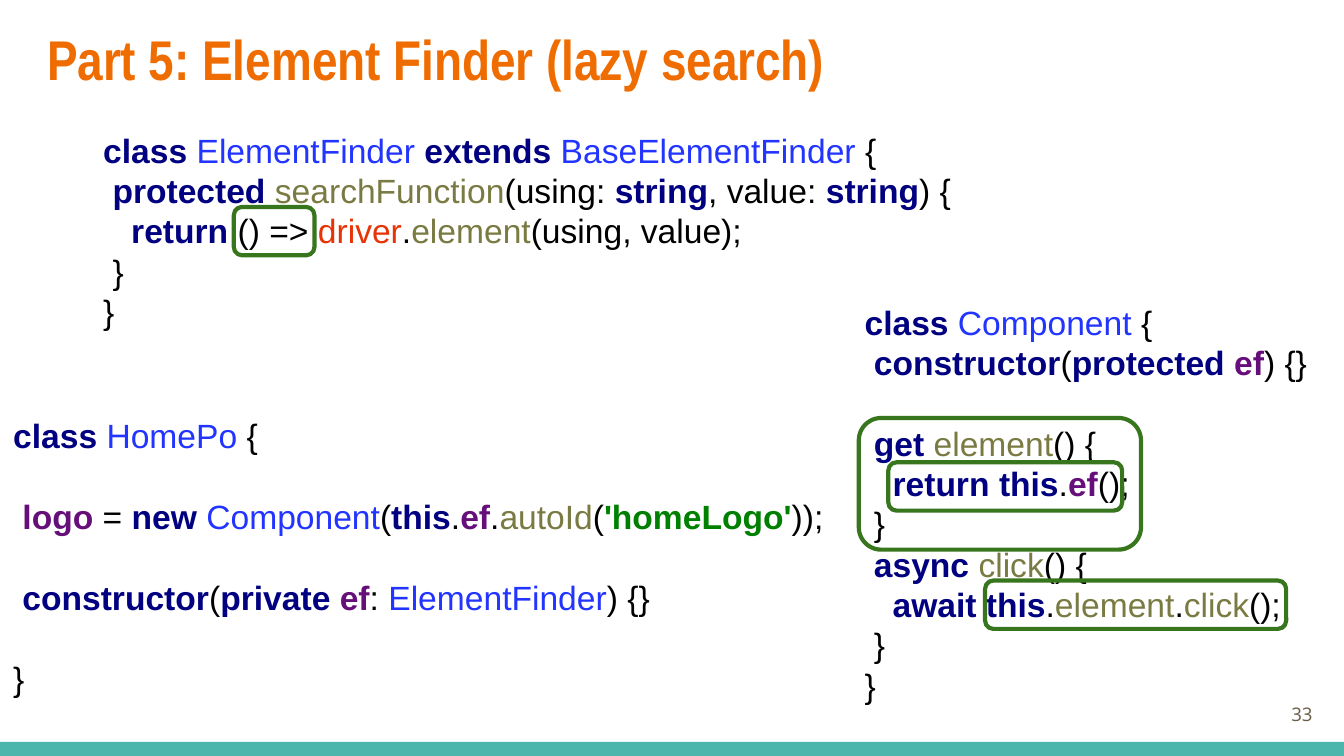
from itertools import groupby

from pptx import Presentation
from pptx import util as u
from pptx.dml.color import RGBColor
from pptx.enum import shapes, text
from pptx.oxml import parse_xml
from pptx.oxml.ns import nsdecls

PX = 4572  # EMU per px, 200 px to the inch
CODE_SIZE, BLANK_LINE = 18, 21.7

COLORS = {
    "title": "EF6C00", "bar": "4DB6AC", "number": "695D46", "frame": "38761D",
    "keyword": "000080", "class": "2234FF", "method": "7A7A43", "field": "660E7A",
    "string": "008000", "variable": "E73305", "plain": "000000", "back": "FFFFFF",
}
BOLD_KINDS = {"keyword", "field", "string"}
WORDS = {
    "keyword": "class extends protected string return constructor get this async await new private",
    "class": "ElementFinder BaseElementFinder Component HomePo",
    "method": "searchFunction element click autoId",
    "field": "ef logo",
    "string": "'homeLogo'",
    "variable": "driver",
}
KIND_OF = {word: kind for kind, words in WORDS.items() for word in words.split()}

FINDER_CODE = """class ElementFinder extends BaseElementFinder {
 protected searchFunction(using: string, value: string) {
   return () => driver.element(using, value);
 }
}"""
COMPONENT_CODE = """class Component {
 constructor(protected ef) {}

 get element() {
   return this.ef();
 }
 async click() {
   await this.element.click();
 }
}"""
HOME_CODE = """class HomePo {

 logo = new Component(this.ef.autoId('homeLogo'));

 constructor(private ef: ElementFinder) {}

}"""
CODE_BLOCKS = [
    ((134, 172, 1332, 342), FINDER_CODE),
    ((1267, 436, 712, 626), COMPONENT_CODE),
    ((0, 598, 1260, 460), HOME_CODE),
]
FRAMES = [(348, 308, 120, 72), (1278, 622, 420, 196), (1322, 688, 348, 72), (1466, 864, 448, 72)]


def px(*lengths):
    return [u.Emu(n * PX) for n in lengths]


def rgb(name):
    return RGBColor.from_string(COLORS[name])


def set_attrs(obj, **values):
    for name, value in values.items():
        setattr(obj, name, value)


def add_run(p, content, color, **font):
    r = p.add_run()
    r.text = content
    set_attrs(r.font, **font)
    r.font.color.rgb = rgb(color)
    return r


def set_frame(tf, anchor):
    inset = u.Inches(0.1)
    set_attrs(tf, word_wrap=True, auto_size=text.MSO_AUTO_SIZE.NONE, vertical_anchor=anchor,
              margin_left=inset, margin_right=inset, margin_top=inset, margin_bottom=inset)
    return tf


def add_text_box(s, box):
    sp = s.shapes.add_textbox(*px(*box))
    return set_frame(sp.text_frame, text.MSO_ANCHOR.MIDDLE)


def highlight(r):
    """Put the white text background right after the run's fill, as the schema asks."""
    r.font.fill._xPr.solidFill.addnext(parse_xml(
        f'<a:highlight {nsdecls("a")}><a:srgbClr val="{COLORS["back"]}"/></a:highlight>'))


def add_code(s, box, code):
    """Colour code by word; an empty line becomes space before the next one."""
    tf = add_text_box(s, box)
    p, gap = tf.paragraphs[0], 0
    for i, line in enumerate(code.splitlines()):
        if not line:
            gap += BLANK_LINE
            continue
        if i:
            p = tf.add_paragraph()
            p.space_before = u.Pt(gap)
        gap = 0
        tokens = ("".join(g) for _, g in groupby(line, lambda c: c.isalnum() or c == "'"))
        for kind, group in groupby(tokens, lambda t: KIND_OF.get(t, "plain")):
            highlight(add_run(p, "".join(group), kind, name="Arial",
                              size=u.Pt(CODE_SIZE), bold=kind in BOLD_KINDS))


def set_title(s, box, content):
    sp = s.shapes.title
    set_attrs(sp, **dict(zip(("left", "top", "width", "height"), px(*box))))
    p = set_frame(sp.text_frame, text.MSO_ANCHOR.TOP).paragraphs[0]
    p.alignment = text.PP_ALIGN.LEFT
    add_run(p, content, "title", name="Arial Narrow", size=u.Pt(30), bold=True)


def add_number(s, box, content):
    p = add_text_box(s, box).paragraphs[0]
    p.alignment = text.PP_ALIGN.RIGHT
    add_run(p, content, "number", name="Open Sans", size=u.Pt(10))


def add_bar(s, box):
    sp = s.shapes.add_shape(shapes.MSO_SHAPE.RECTANGLE, *px(*box))
    sp.shadow.inherit = False
    sp.fill.solid()
    sp.fill.fore_color.rgb = rgb("bar")
    sp.line.fill.background()


def add_frame(s, box):
    sp = s.shapes.add_shape(shapes.MSO_SHAPE.ROUNDED_RECTANGLE, *px(*box))
    sp.shadow.inherit = False
    sp.adjustments[0] = 0.17
    sp.fill.background()
    sp.line.color.rgb = rgb("frame")
    sp.line.width = u.Pt(2.25)


def main():
    prs = Presentation()
    prs.slide_width, prs.slide_height = px(2000, 1125)
    s = prs.slides.add_slide(prs.slide_layouts[5])
    add_bar(s, (0, 1104, 2000, 21))
    set_title(s, (50, 16, 1864, 114), "Part 5: Element Finder (lazy search)")
    add_number(s, (1853, 1020, 120, 86), "33")
    for box, code in CODE_BLOCKS:
        add_code(s, box, code)
    for box in FRAMES:
        add_frame(s, box)
    prs.save("out.pptx")


if __name__ == "__main__":
    main()
